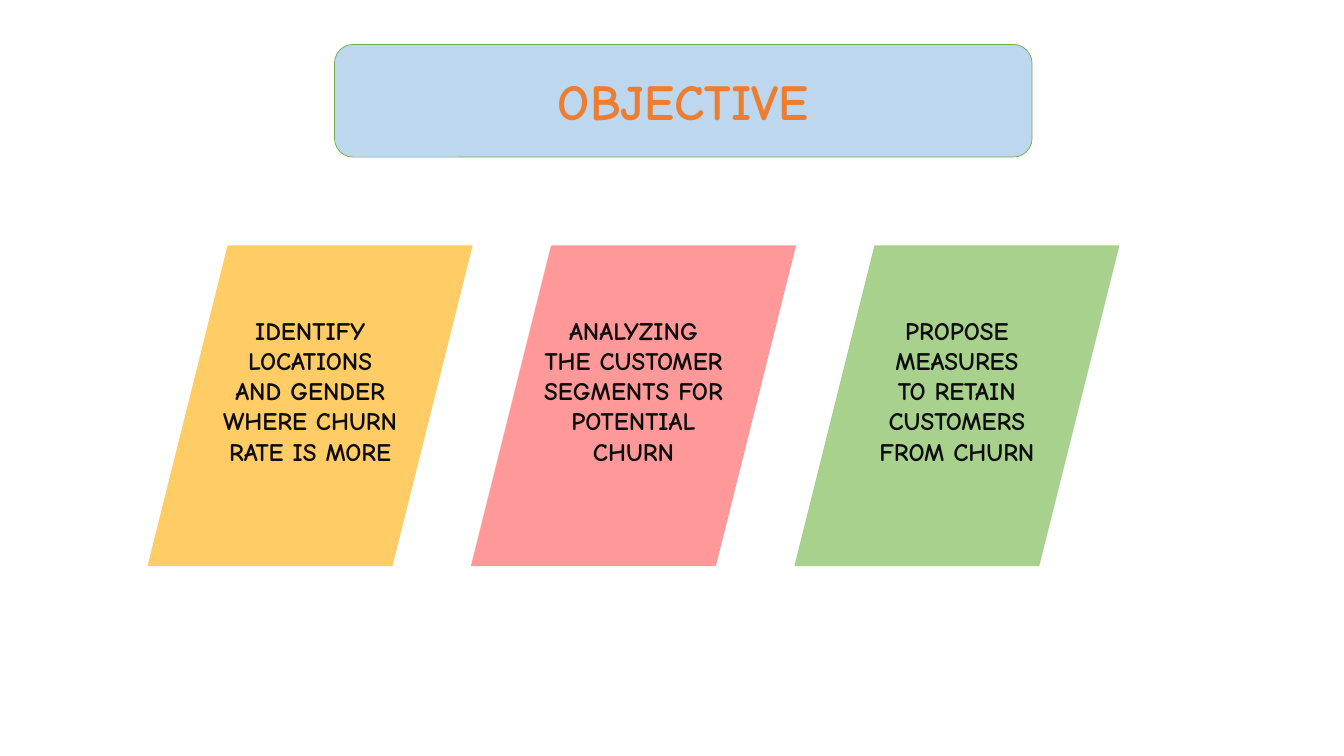
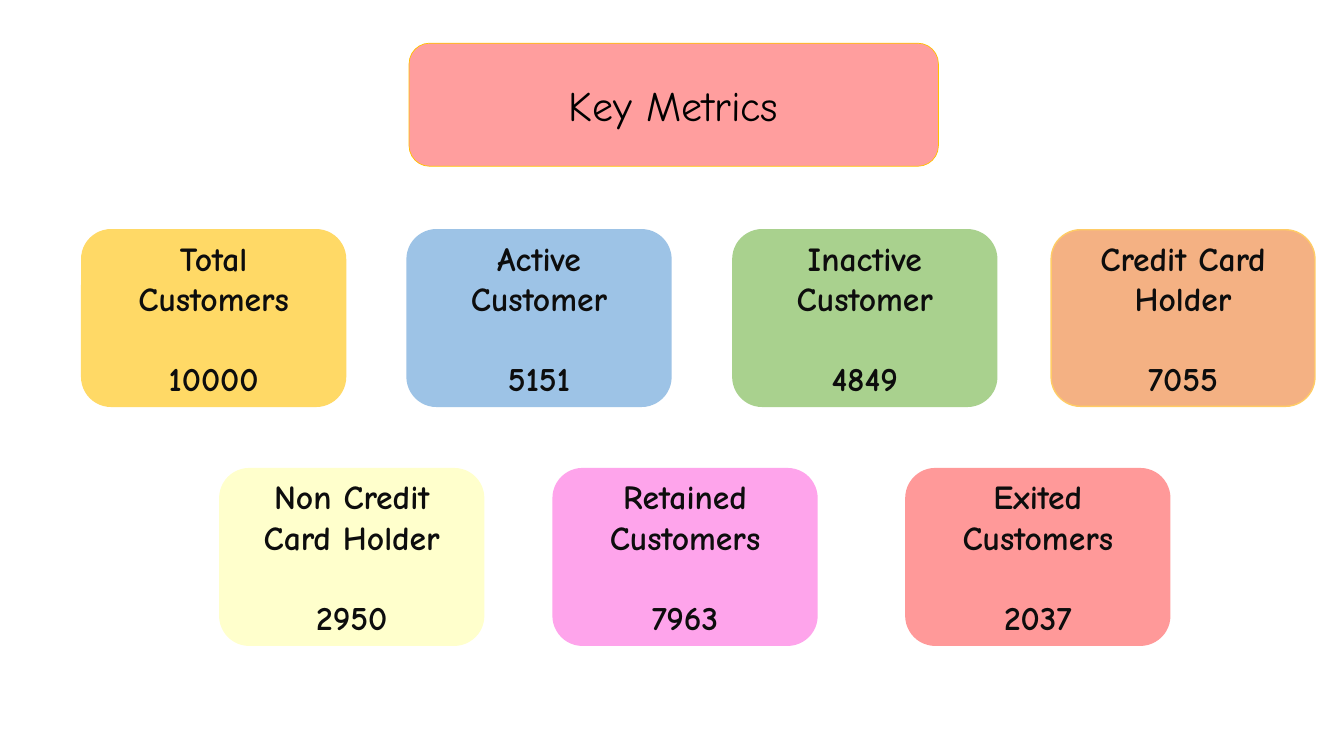
from lxml import etree
from pptx import Presentation
from pptx import util as u
from pptx.dml.color import RGBColor
from pptx.enum import shapes, text
from pptx.oxml.ns import qn

Cm, Pt = u.Cm, u.Pt


def color(hex_code):
    return RGBColor.from_string(hex_code)


class Deck:
    """Holds the churn deck's style and the slide being built."""

    font = "Comic Neue"
    ink = "0D0D0D"
    panel_size = (8.15, 8.05)
    card_size = (6.65, 4.45)

    def __init__(self):
        self.prs = Presentation()
        self.prs.slide_width, self.prs.slide_height = Cm(33.87), Cm(19.05)
        self.slide = None

    def new_slide(self):
        self.slide = self.prs.slides.add_slide(self.prs.slide_layouts[6])

    def block(self, kind, box, fill, line, line_width):
        block = self.slide.shapes.add_shape(kind, *(Cm(side) for side in box))
        block.shadow.inherit = False
        block.fill.solid()
        block.fill.fore_color.rgb = color(fill)
        block.line.color.rgb = color(line)
        block.line.width = Pt(line_width)
        block.text_frame.word_wrap = True
        block.text_frame.vertical_anchor = text.MSO_ANCHOR.MIDDLE
        return block

    def add_lines(self, block, lines, size, ink, bold=True, gap=0):
        frame = block.text_frame
        for index, words in enumerate(lines):
            line = frame.add_paragraph() if index else frame.paragraphs[0]
            line.alignment = text.PP_ALIGN.CENTER
            line.space_before = Pt(gap if index else 0)
            run = line.add_run()
            run.text = words
            run.font.name = self.font
            run.font.size = Pt(size)
            run.font.bold = bold
            run.font.color.rgb = color(ink)

    def banner(self, title, box, fill, line, size, ink, bold, opacity=100):
        banner = self.block(shapes.MSO_SHAPE.ROUNDED_RECTANGLE, box, fill, line, 0.5)
        if opacity < 100:
            tint = banner.element.spPr.find(qn("a:solidFill"))[0]
            etree.SubElement(tint, qn("a:alpha"), val=str(opacity * 1000))
        self.add_lines(banner, [title], size, ink, bold)

    def panel(self, left, top, fill, lines):
        panel = self.block(shapes.MSO_SHAPE.PARALLELOGRAM,
                           (left, top, *self.panel_size), fill, fill, 1)
        panel.text_frame.margin_bottom = Cm(0.89)
        self.add_lines(panel, lines, 18, self.ink)

    def card(self, left, top, fill, line, label, value):
        card = self.block(shapes.MSO_SHAPE.ROUNDED_RECTANGLE,
                          (left, top, *self.card_size), fill, line, 1)
        self.add_lines(card, [label, value], 24, self.ink, gap=28.8)


def objective_slide(deck):
    deck.new_slide()
    deck.banner("OBJECTIVE", (8.43, 1.12, 17.58, 2.84), "BDD7EE", "70AD47",
                36, "ED7D31", True)
    objectives = [
        ("FFCC66", ["IDENTIFY LOCATIONS", "AND GENDER WHERE CHURN RATE IS MORE"]),
        ("FF9999", ["ANALYZING THE CUSTOMER SEGMENTS FOR POTENTIAL CHURN"]),
        ("A9D18E", ["PROPOSE MEASURES", "TO RETAIN CUSTOMERS FROM CHURN"]),
    ]
    for index, (fill, lines) in enumerate(objectives):
        deck.panel(3.74 + index * deck.panel_size[0], 6.2, fill, lines)


def metrics_slide(deck):
    deck.new_slide()
    deck.banner("Key Metrics", (10.31, 1.09, 13.34, 3.1), "FF9999", "FFC000",
                30, "000000", False, opacity=95)
    rows = {
        5.79: [
            (2.06, "FFD966", "FFD966", "Total Customers", "10000"),
            (10.26, "9DC3E6", "9DC3E6", "Active Customer", "5151"),
            (18.47, "A9D18E", "A9D18E", "Inactive Customer", "4849"),
            (26.49, "F4B183", "FFCC66", "Credit Card Holder", "7055"),
        ],
        11.81: [
            (5.54, "FFFFCC", "FFFFCC", "Non Credit Card Holder", "2950"),
            (13.94, "FEA4EB", "FEA4EB", "Retained Customers", "7963"),
            (22.83, "FF9999", "FF9999", "Exited Customers", "2037"),
        ],
    }
    for top, metrics in rows.items():
        for left, fill, line, label, value in metrics:
            deck.card(left, top, fill, line, label, value)


def main():
    deck = Deck()
    objective_slide(deck)
    metrics_slide(deck)
    deck.prs.save("out.pptx")


if __name__ == "__main__":
    main()
